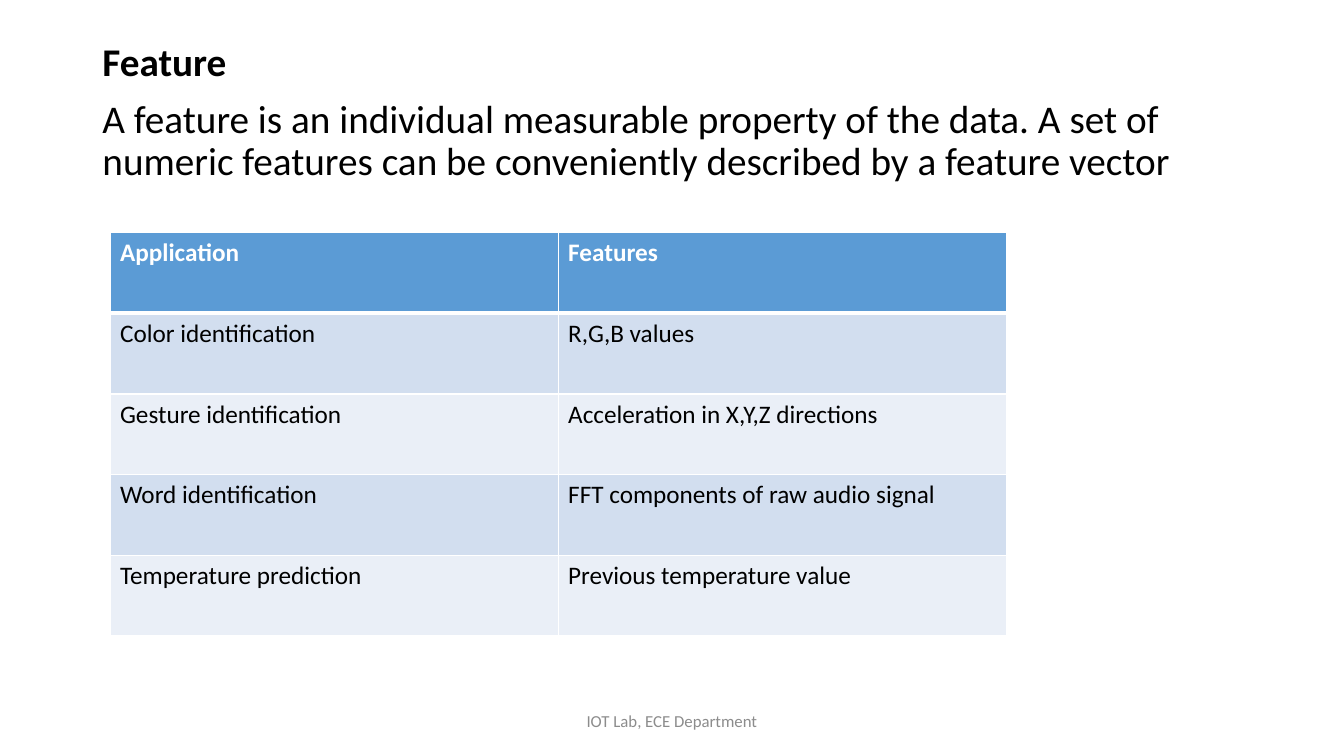
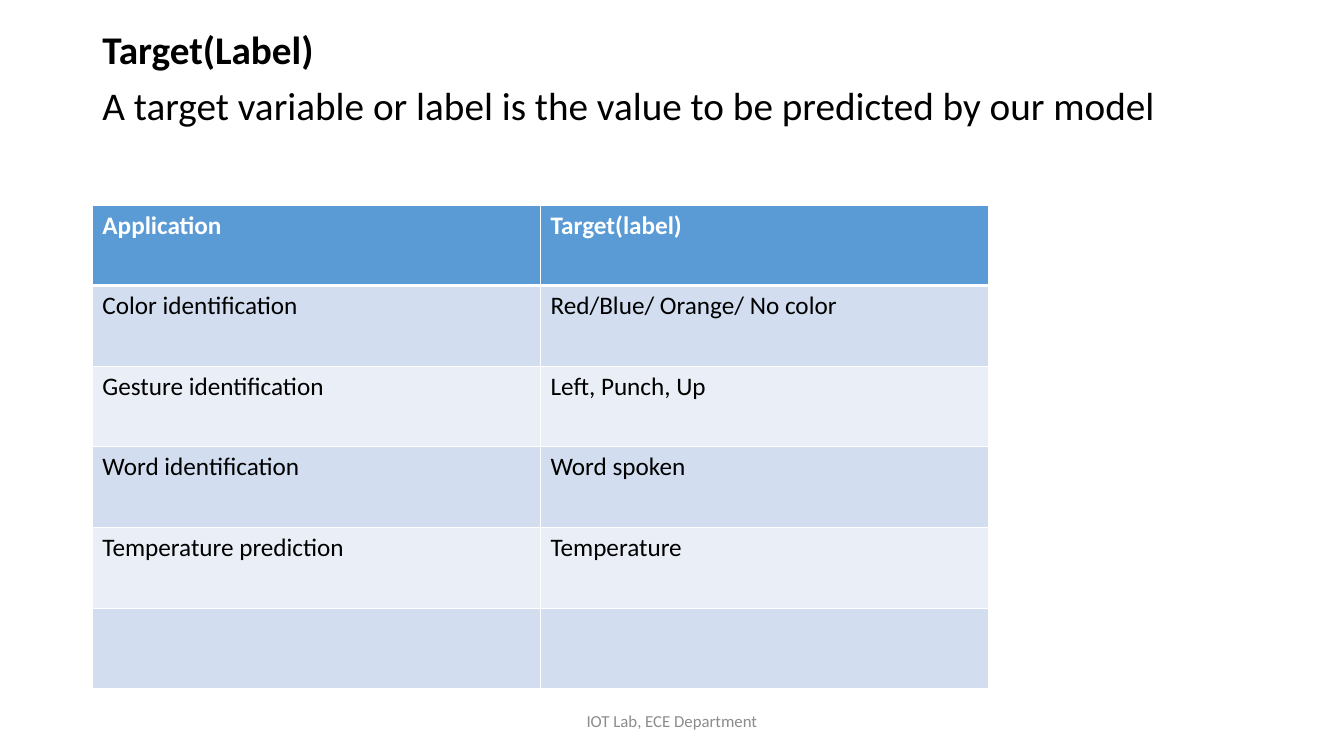
from lxml import etree
from pptx import Presentation
from pptx.dml.color import RGBColor
from pptx.enum.text import MSO_ANCHOR, MSO_AUTO_SIZE, PP_ALIGN
from pptx.oxml.ns import qn
from pptx.util import Inches, Pt

CENTER = PP_ALIGN.CENTER
TOP, MIDDLE = MSO_ANCHOR.TOP, MSO_ANCHOR.MIDDLE
NO_FIT = MSO_AUTO_SIZE.NONE

GRID_COLUMNS, GRID_ROWS = 160, 90
LAYOUT_TITLE_AND_CONTENT = 1

FONT = "Calibri"
BLACK, WHITE, GRAY = "000000", "FFFFFF", "8C8C8C"
HEADER_FILL = "5B9BD5"
BAND_FILLS = ("D2DEEF", "EAEFF7")
THIN, THICK = 1, 3

FOOTER = "IOT Lab, ECE Department"
APPLICATIONS = (
    "Color identification",
    "Gesture identification",
    "Word identification",
    "Temperature prediction",
)


def color(value):
    return RGBColor.from_string(value)


class LessonDeck:
    """Holds the shared style and the slide being built."""

    def __init__(self):
        self.deck = Presentation()
        self.deck.slide_width = Inches(13.33)
        self.deck.slide_height = Inches(7.5)
        self.page = None

    def across(self, columns):
        return round(self.deck.slide_width * columns / GRID_COLUMNS)

    def down(self, rows):
        return round(self.deck.slide_height * rows / GRID_ROWS)

    def area(self, left, top, width, height):
        return self.across(left), self.down(top), self.across(width), self.down(height)

    def style(self, para, size, shade, bold=False):
        for span in para.runs:
            span.font.name = FONT
            span.font.size = Pt(size)
            span.font.bold = bold
            span.font.color.rgb = color(shade)

    def add_page(self):
        layout = self.deck.slide_layouts[LAYOUT_TITLE_AND_CONTENT]
        self.page = self.deck.slides.add_slide(layout)
        title = self.page.shapes.title
        title.element.getparent().remove(title.element)
        self.add_footer()

    def add_footer(self):
        box = self.page.shapes.add_textbox(*self.area(53, 83.4, 54, 4.8))
        frame = box.text_frame
        frame.word_wrap = True
        frame.vertical_anchor = MIDDLE
        frame.text = FOOTER
        para = frame.paragraphs[0]
        para.alignment = CENTER
        self.style(para, 12, GRAY)

    def add_definition(self, term, meaning, top, height):
        """Fill the body placeholder with a bold term and its meaning."""
        box = self.page.placeholders[1]
        box.left, box.top, box.width, box.height = self.area(11, top, 138, height)
        frame = box.text_frame
        frame.auto_size = NO_FIT
        frame.vertical_anchor = TOP
        frame.text = f"{term}\n{meaning}"
        for index, para in enumerate(frame.paragraphs):
            para.line_spacing = 0.9
            para.space_before = Pt(10)
            properties = para._p.get_or_add_pPr()
            properties.set("marL", "0")
            properties.set("indent", "0")
            etree.SubElement(properties, qn("a:buNone"))
            self.style(para, 28, BLACK, bold=index == 0)

    def add_border(self, cell, top, bottom):
        """Draw white cell edges; top and bottom are widths in points."""
        properties = cell._tc.get_or_add_tcPr()
        edges = (("lnL", THIN), ("lnR", THIN), ("lnT", top), ("lnB", bottom))
        for position, (tag, width) in enumerate(edges):
            line = etree.Element(qn(f"a:{tag}"), w=str(Pt(width)))
            fill = etree.SubElement(line, qn("a:solidFill"))
            etree.SubElement(fill, qn("a:srgbClr"), val=WHITE)
            properties.insert(position, line)

    def add_table(self, records, left, top):
        place = self.area(left, top, 106.7, 9.6 * len(records))
        table = self.page.shapes.add_table(len(records), len(records[0]), *place).table
        for row, record in enumerate(records):
            header = row == 0
            for column, text in enumerate(record):
                cell = table.cell(row, column)
                cell.text = text
                cell.fill.solid()
                cell.fill.fore_color.rgb = color(
                    HEADER_FILL if header else BAND_FILLS[(row - 1) % 2]
                )
                self.add_border(
                    cell,
                    top=THICK if row == 1 else THIN,
                    bottom=THICK if header else THIN,
                )
                shade = WHITE if header else BLACK
                self.style(cell.text_frame.paragraphs[0], 18, shade, bold=header)


def main():
    lesson = LessonDeck()

    lesson.add_page()
    lesson.add_definition(
        "Feature",
        "A feature is an individual measurable property of the data. A set of "
        "numeric features can be conveniently described by a feature vector",
        top=4.5,
        height=23.2,
    )
    features = (
        "R,G,B values",
        "Acceleration in X,Y,Z directions",
        "FFT components of raw audio signal",
        "Previous temperature value",
    )
    lesson.add_table(
        [("Application", "Features"), *zip(APPLICATIONS, features)], left=13.1, top=27.7
    )

    lesson.add_page()
    lesson.add_definition(
        "Target(Label)",
        "A target variable or label is the value to be predicted by our model",
        top=3,
        height=78,
    )
    targets = ("Red/Blue/ Orange/ No color", "Left, Punch, Up", "Word spoken", "Temperature")
    lesson.add_table(
        [("Application", "Target(label)"), *zip(APPLICATIONS, targets), ("", "")],
        left=11,
        top=24.4,
    )

    lesson.deck.save("out.pptx")


if __name__ == "__main__":
    main()
